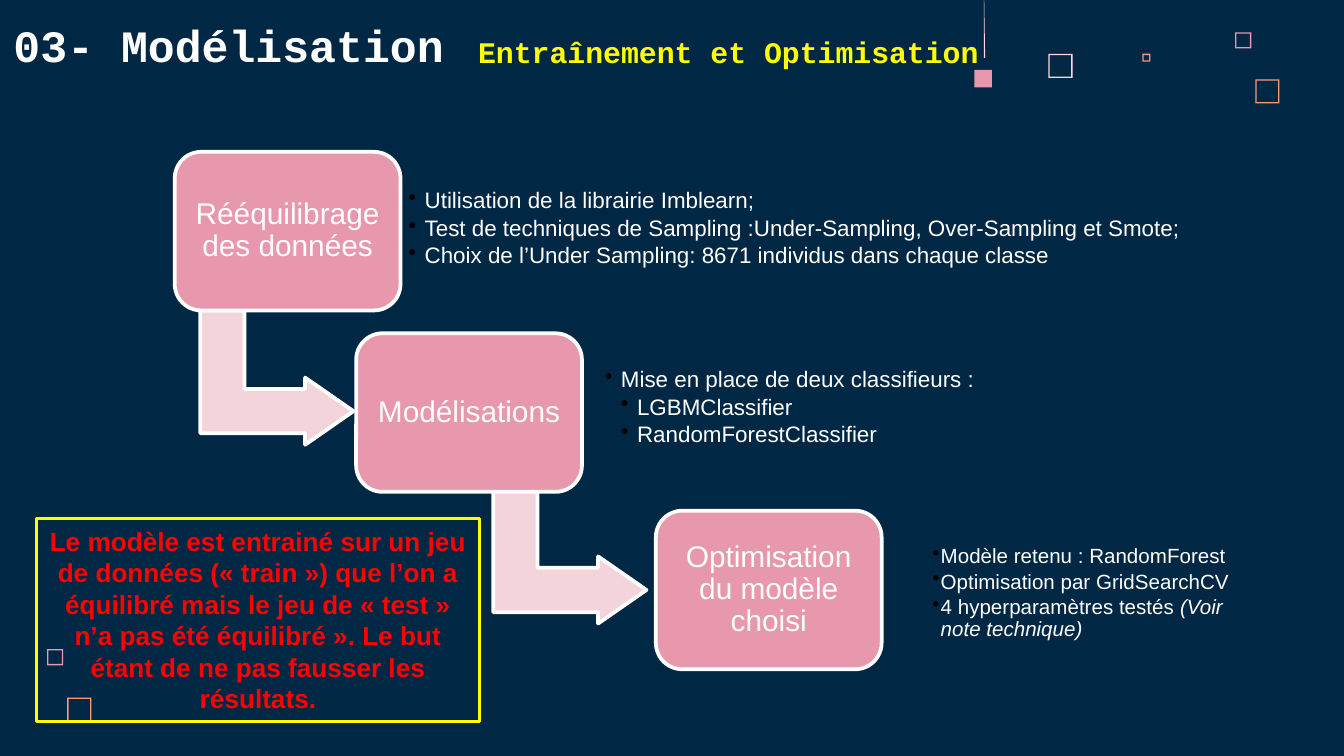
from lxml.etree import SubElement
from pptx import Presentation
from pptx.dml.color import RGBColor
from pptx.enum.shapes import MSO_SHAPE as Preset
from pptx.enum.text import MSO_ANCHOR as Anchor, MSO_AUTO_SIZE as AutoSize, PP_ALIGN as Align
from pptx.oxml.ns import qn
from pptx.util import Inches, Pt

COLORS = {"navy": "002845", "white": "FFFFFF", "black": "000000", "blush": "FFD6E1",
          "pink": "E898AC", "pale": "F4D4DB", "orange": "FF9973", "yellow": "FFFF00", "red": "FF0000"}

TITLE = "03- Modélisation"
SUBTITLE = "Entraînement et Optimisation"
NOTE = ("Le modèle est entrainé sur un jeu de données (« train ») que l’on a équilibré mais le jeu "
        "de « test » n’a pas été équilibré ». Le but étant de ne pas fausser les résultats.")

SQUARES = [(7.8, 0.4, 0.18, "blush"), (9.19, 0.24, 0.12, "pink"), (8.5, 0.4, 0.06, "orange"),
           (9.34, 0.59, 0.18, "orange"), (0.35, 4.83, 0.12, "pink"), (0.5, 5.19, 0.18, "orange")]

STEPS = [
    {"name": "Rééquilibrage des données", "at": (1.3, 1.13), "arrow": (1.56, 2.24),
     "details": (2.97, 1.23, 6.16), "inset": 0.07, "size": 12, "indent": 0.12,
     "bullets": [(1, [("Utilisation de la librairie Imblearn;", False)]),
                 (1, [("Test de techniques de Sampling :Under-Sampling, Over-Sampling et Smote;", False)]),
                 (1, [("Choix de l’Under Sampling: 8671 individus dans chaque classe", False)])]},
    {"name": "Modélisations", "at": (2.65, 2.48), "arrow": (3.74, 3.57),
     "details": (4.43, 2.56, 3.21), "inset": 0.07, "size": 12, "indent": 0.12,
     "bullets": [(1, [("Mise en place de deux classifieurs :", False)]),
                 (2, [("LGBMClassifier", False)]),
                 (2, [("RandomForestClassifier", False)])]},
    {"name": "Optimisation du modèle choisi", "at": (4.88, 3.8), "arrow": None,
     "details": (6.88, 3.94, 2.54), "inset": 0.06, "size": 11, "indent": 0.06,
     "bullets": [(1, [("Modèle retenu : RandomForest", False)]),
                 (1, [("Optimisation par GridSearchCV", False)]),
                 (1, [("4 hyperparamètres testés ", False), ("(Voir note technique)", True)])]},
]


def rgb(name):
    return RGBColor.from_string(COLORS[name])


def paint(shape, fill=None, line=None, width=2):
    shape.shadow.inherit = False
    if fill:
        shape.fill.solid()
        shape.fill.fore_color.rgb = rgb(fill)
    else:
        shape.fill.background()
    if line:
        shape.line.color.rgb = rgb(line)
        shape.line.width = Pt(width)
    else:
        shape.line.fill.background()


def add_preset(page, preset, at, fill=None, line=None, width=2):
    shape = page.shapes.add_shape(preset, *map(Inches, at))
    paint(shape, fill, line, width)
    return shape


def add_outline(page, contours, fill):
    builder = None
    for first, *rest in contours:
        start = [Inches(value) for value in first]
        if builder is None:
            builder = page.shapes.build_freeform(*start, scale=1.0)
        else:
            builder.move_to(*start)
        builder.add_line_segments([(Inches(x), Inches(y)) for x, y in rest], close=True)
    paint(builder.convert_to_shape(), fill)


def add_square_frame(page, left, top, size, color):
    edge = 0.01
    right, bottom = left + size, top + size
    outer = [(left, top), (left, bottom), (right, bottom), (right, top)]
    inner = [(right - edge, top + edge), (right - edge, bottom - edge),
             (left + edge, bottom - edge), (left + edge, top + edge)]
    add_outline(page, [inner, outer], color)


def set_frame(shape, inset, anchor):
    frame = shape.text_frame
    frame.word_wrap = True
    frame.auto_size = AutoSize.NONE
    frame.vertical_anchor = anchor
    frame.margin_left = frame.margin_right = Inches(inset)
    frame.margin_top = frame.margin_bottom = Inches(inset)
    return frame


def add_span(para, text, size, color="white", font="Arial", bold=False, italic=False):
    span = para.add_run()
    span.text = text
    span.font.size, span.font.name = Pt(size), font
    span.font.bold, span.font.italic = bold, italic
    span.font.color.rgb = rgb(color)


def add_bullet(para, level, indent):
    para.level = level
    para.alignment = Align.LEFT
    para.line_spacing = 0.9
    para.space_after = Pt(1.8)
    props = para._p.get_or_add_pPr()
    props.set("marL", str(Inches(indent * level)))
    props.set("indent", str(-Inches(indent)))
    SubElement(SubElement(props, qn("a:buClr")), qn("a:srgbClr")).set("val", COLORS["black"])
    SubElement(props, qn("a:buChar")).set("char", "•")


def add_heading(box, at, text, size, color):
    box.left, box.top, box.width, box.height = map(Inches, at)
    para = set_frame(box, 0.1, Anchor.BOTTOM).paragraphs[0]
    para.alignment = Align.LEFT
    add_span(para, text, size, color, "Courier New", bold=True)


def add_step(page, step):
    if step["arrow"]:
        arrow = add_preset(page, Preset.BENT_UP_ARROW, (*step["arrow"], 1, 1.14), "pale", "white")
        arrow.rotation = 90
        for index, value in enumerate((0.33, 0.25, 0.36)):
            arrow.adjustments[index] = value
    box = add_preset(page, Preset.ROUNDED_RECTANGLE, (*step["at"], 1.68, 1.18), "pink", "white")
    para = set_frame(box, 0.07, Anchor.MIDDLE).paragraphs[0]
    para.alignment = Align.CENTER
    para.line_spacing = 0.9
    add_span(para, step["name"], 16)

    details = page.shapes.add_textbox(*map(Inches, (*step["details"], 0.95)))
    frame = set_frame(details, step["inset"], Anchor.MIDDLE)
    for index, (level, spans) in enumerate(step["bullets"]):
        para = frame.add_paragraph() if index else frame.paragraphs[0]
        add_bullet(para, level, step["indent"])
        for text, italic in spans:
            add_span(para, text, step["size"], italic=italic)


def main():
    """Build the modelling slide with its three-step process."""
    deck = Presentation()
    deck.slide_width = Inches(10)
    deck.slide_height = deck.slide_width * 9 // 16
    page = deck.slides.add_slide(deck.slide_layouts[5])
    page.background.fill.solid()
    page.background.fill.fore_color.rgb = rgb("navy")

    for square in SQUARES:
        add_square_frame(page, *square)
    add_preset(page, Preset.RECTANGLE, (7.25, 0.52, 0.13, 0.13), "pink")
    add_outline(page, [[(7.32, -0.18), (7.32, 0.43), (7.33, 0.43)]], "blush")

    add_heading(page.shapes.title, (0, 0, 3.57, 0.63), TITLE, 24, "white")
    for step in STEPS:
        add_step(page, step)
    subtitle = page.shapes.add_textbox(0, 0, 0, 0)
    add_heading(subtitle, (3.46, 0.28, 4.56, 0.34), SUBTITLE, 16, "yellow")

    note = add_preset(page, Preset.RECTANGLE, (0.27, 3.86, 3.3, 1.51), line="yellow", width=1.5)
    note.text_frame.word_wrap = True
    note.text_frame.auto_size = AutoSize.SHAPE_TO_FIT_TEXT
    note.text_frame.vertical_anchor = Anchor.TOP
    para = note.text_frame.paragraphs[0]
    para.alignment = Align.CENTER
    add_span(para, NOTE, 14, "red", bold=True)
    deck.save("out.pptx")


if __name__ == "__main__":
    main()
